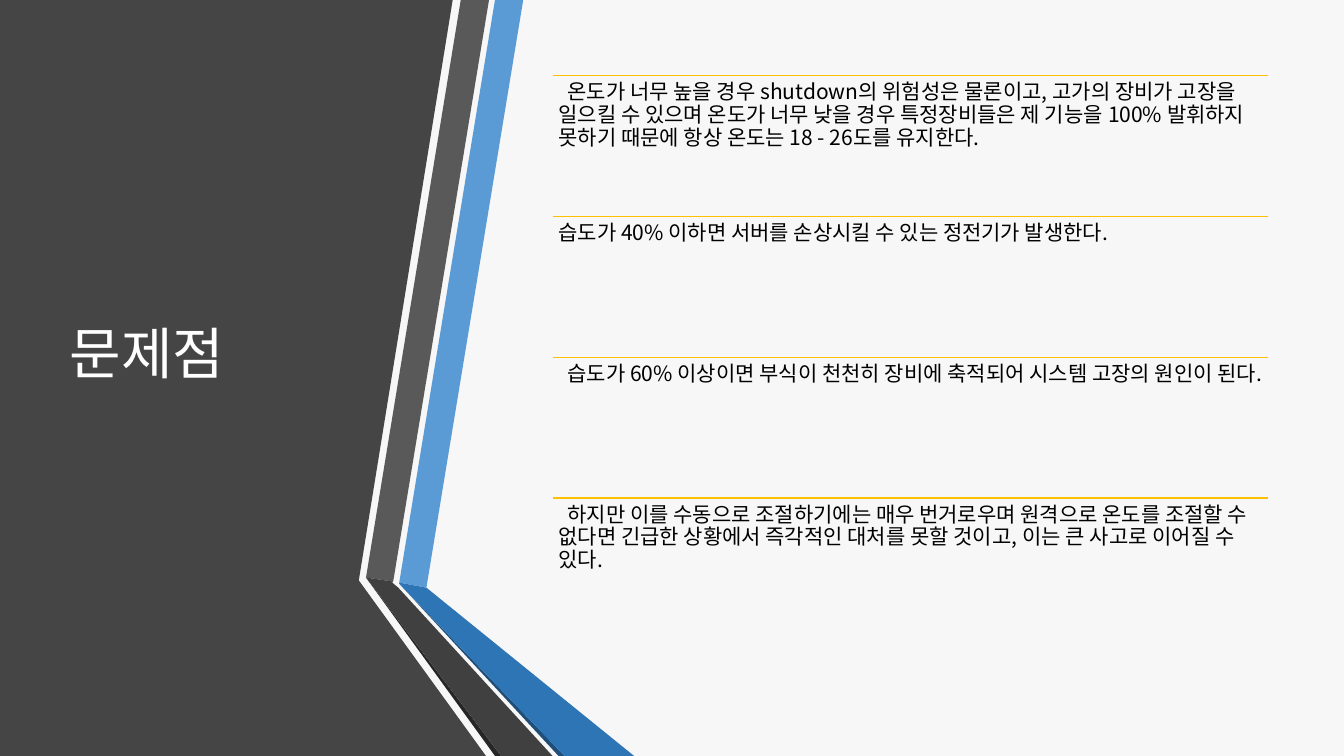
import pptx
import pptx.dml.color
import pptx.enum.shapes
import pptx.enum.text
import pptx.oxml
import pptx.oxml.ns
import pptx.util

Inches = pptx.util.Inches
Pt = pptx.util.Pt

FONT = "Noto Sans CJK KR"
COLORS = {
    "background": "F7F7F7", "panel": "454545",
    "blue": "5B9BD5", "blue_fold": "2E75B6", "blue_edge": "1F4E79",
    "gray": "595959", "gray_fold": "404040", "gray_edge": "262626",
    "rule": "FFC000", "title": "FFFFFF", "body": "000000",
}

# Left panel and folded ribbons, from back to front
OUTLINES = [
    ("panel", [(0, 0), (4.49, 0), (3.56, 5.75), (3.56, 5.76), (4.82, 7.5), (0, 7.5)]),
    ("blue", [(3.96, 5.78), (4.23, 5.83), (5.19, 0), (4.91, 0)]),
    ("gray", [(4.85, 0), (4.57, 0), (3.63, 5.73), (3.9, 5.77)]),
    ("gray_edge", [(3.63, 5.73), (4.91, 7.5), (4.97, 7.5)]),
    ("blue_edge", [(3.96, 5.79), (5.54, 7.5), (5.6, 7.5)]),
    ("blue_fold", [(3.96, 5.79), (5.6, 7.5), (6.29, 7.5), (4.23, 5.83), (3.96, 5.78)]),
    ("gray_fold", [(5.48, 7.5), (3.95, 5.83), (3.89, 5.78), (3.9, 5.77),
                   (3.63, 5.73), (4.97, 7.5)]),
]

# Each problem with its first-line indent in inches
PROBLEMS = [
    ("온도가 너무 높을 경우 shutdown의 위험성은 물론이고, 고가의 장비가 고장을 일으킬 수 있으며 "
     "온도가 너무 낮을 경우 특정장비들은 제 기능을 100% 발휘하지 못하기 때문에 "
     "항상 온도는 18 - 26도를 유지한다.", 0.09),
    ("습도가 40% 이하면 서버를 손상시킬 수 있는 정전기가 발생한다.", 0),
    ("습도가 60% 이상이면 부식이 천천히 장비에 축적되어 시스템 고장의 원인이 된다.", 0.09),
    ("하지만 이를 수동으로 조절하기에는 매우 번거로우며 원격으로 온도를 조절할 수 없다면 "
     "긴급한 상황에서 즉각적인 대처를 못할 것이고, 이는 큰 사고로 이어질 수 있다.", 0.09),
]
LIST_LEFT, LIST_TOP, LIST_WIDTH, ROW_HEIGHT = 5.48, 0.75, 7.1, 1.397


def rgb(name):
    return pptx.dml.color.RGBColor.from_string(COLORS[name])


def write_text(text_frame, text, *, size, color, anchor, inset=None, indent=0, space_after=0):
    text_frame.word_wrap = True
    text_frame.auto_size = pptx.enum.text.MSO_AUTO_SIZE.NONE
    text_frame.vertical_anchor = anchor
    if inset is not None:
        for side in ("left", "top", "right", "bottom"):
            setattr(text_frame, f"margin_{side}", Inches(inset))
    paragraph = text_frame.paragraphs[0]
    paragraph.alignment = pptx.enum.text.PP_ALIGN.LEFT
    paragraph.line_spacing = 0.9
    paragraph.space_before = Pt(0)
    paragraph.space_after = Pt(space_after)
    if indent:
        properties = paragraph._p.get_or_add_pPr()
        properties.set("marL", "0")
        properties.set("indent", str(Inches(indent)))
    run = paragraph.add_run()
    run.text = text
    run.font.size = Pt(size)
    run.font.name = FONT
    run.font.color.rgb = rgb(color)
    # Korean glyphs take the East Asian font
    east_asian = pptx.oxml.parse_xml(
        f'<a:ea {pptx.oxml.ns.nsdecls("a")} typeface="{FONT}"/>')
    run.font._element.find(pptx.oxml.ns.qn("a:latin")).addnext(east_asian)


class SlideBuilder:
    def __init__(self, presentation):
        self.slide = presentation.slides.add_slide(presentation.slide_layouts[5])
        self.slide.background.fill.solid()
        self.slide.background.fill.fore_color.rgb = rgb("background")

    def outline(self, color, points):
        corners = [(Inches(x), Inches(y)) for x, y in points]
        builder = self.slide.shapes.build_freeform(*corners[0])
        builder.add_line_segments(corners[1:], close=True)
        shape = builder.convert_to_shape()
        shape.shadow.inherit = False
        shape.fill.solid()
        shape.fill.fore_color.rgb = rgb(color)
        shape.line.fill.background()

    def title(self, text, left, top, width, height):
        title = self.slide.shapes.title
        title.left, title.top = Inches(left), Inches(top)
        title.width, title.height = Inches(width), Inches(height)
        write_text(title.text_frame, text, size=40, color="title",
                   anchor=pptx.enum.text.MSO_ANCHOR.MIDDLE)
        # Bring the title in front of the panel
        title.element.getparent().append(title.element)

    def rule(self, left, top, width):
        line = self.slide.shapes.add_connector(
            pptx.enum.shapes.MSO_CONNECTOR.STRAIGHT,
            Inches(left), Inches(top), Inches(left + width), Inches(top))
        line.line.color.rgb = rgb("rule")
        line.line.width = Pt(1)
        line.element.spPr.append(
            pptx.oxml.parse_xml(f'<a:effectLst {pptx.oxml.ns.nsdecls("a")}/>'))

    def body(self, text, left, top, width, height, indent):
        box = self.slide.shapes.add_textbox(
            Inches(left), Inches(top), Inches(width), Inches(height))
        write_text(box.text_frame, text, size=15, color="body", inset=0.06, indent=indent,
                   space_after=5.25, anchor=pptx.enum.text.MSO_ANCHOR.TOP)


def main():
    presentation = pptx.Presentation()
    presentation.slide_width = Inches(13.33)
    presentation.slide_height = Inches(7.5)
    builder = SlideBuilder(presentation)

    for color, points in OUTLINES:
        builder.outline(color, points)
    builder.title("문제점", 0.59, 0.75, 3.04, 5.58)

    # Ruled list of problems
    for row, (text, indent) in enumerate(PROBLEMS):
        top = LIST_TOP + row * ROW_HEIGHT
        builder.rule(LIST_LEFT, top, LIST_WIDTH)
        builder.body(text, LIST_LEFT, top, LIST_WIDTH, ROW_HEIGHT, indent)

    presentation.save("out.pptx")


if __name__ == "__main__":
    main()
